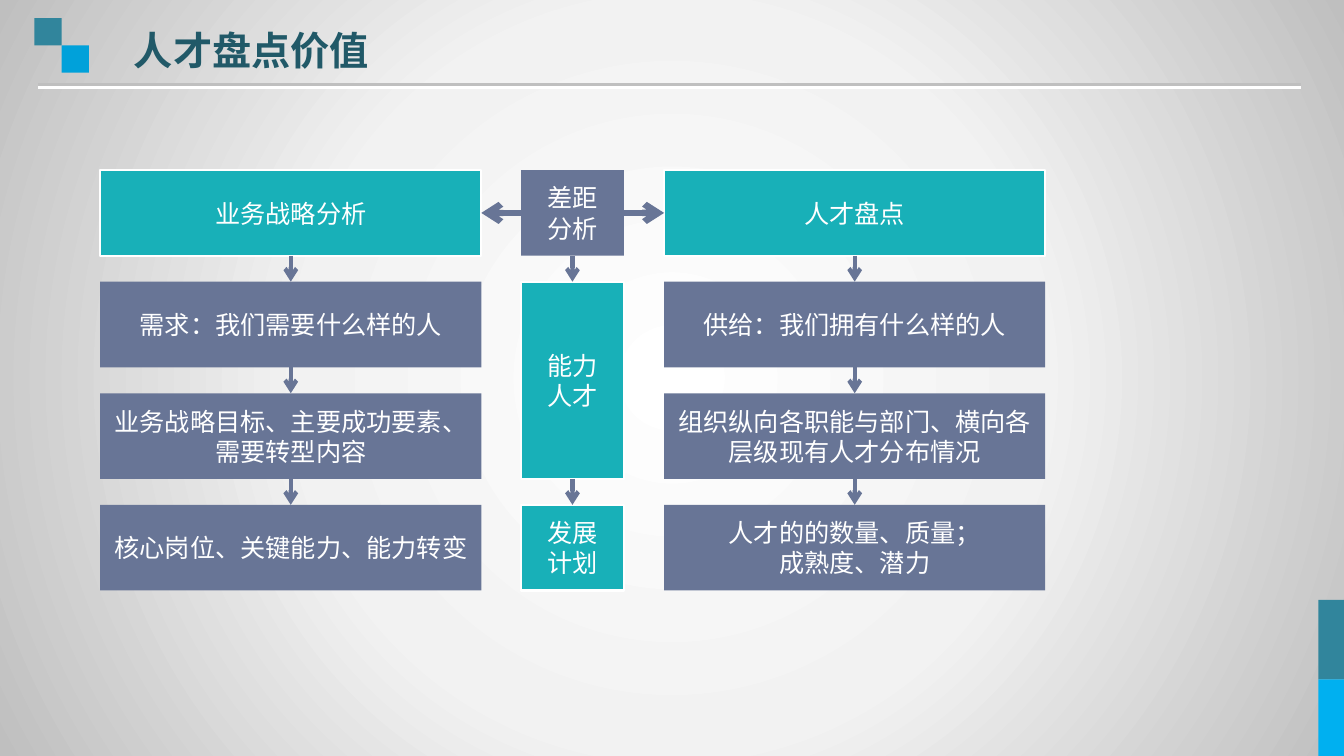
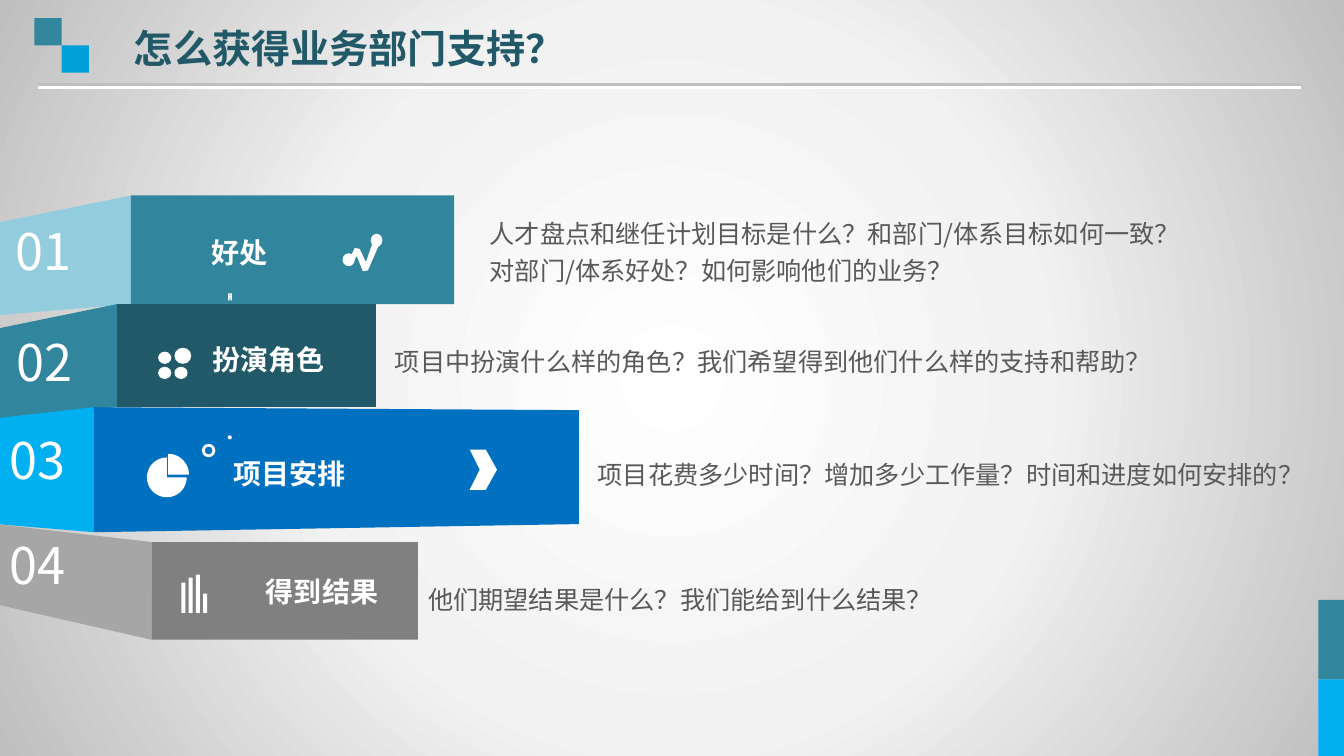
"""Build two slides on the value of a talent review and on winning business support."""

from dataclasses import dataclass
from itertools import pairwise
from math import cos, radians, sin

from lxml import etree
from pptx import Presentation
from pptx.dml.color import RGBColor
from pptx.enum.shapes import MSO_CONNECTOR, MSO_SHAPE
from pptx.enum.text import MSO_ANCHOR, MSO_AUTO_SIZE, PP_ALIGN
from pptx.oxml import parse_xml
from pptx.oxml.ns import nsdecls, qn
from pptx.shapes.autoshape import Shape
from pptx.shapes.connector import Connector
from pptx.shapes.shapetree import GroupShapes, SlideShapes
from pptx.slide import Slide
from pptx.util import Pt

RECTANGLE, ELLIPSE, DONUT = MSO_SHAPE.RECTANGLE, MSO_SHAPE.OVAL, MSO_SHAPE.DONUT
STRAIGHT = MSO_CONNECTOR.STRAIGHT
TOP, MIDDLE = MSO_ANCHOR.TOP, MSO_ANCHOR.MIDDLE
LEFT, CENTER = PP_ALIGN.LEFT, PP_ALIGN.CENTER
FIT_TEXT = MSO_AUTO_SIZE.SHAPE_TO_FIT_TEXT
SIDE_TOP, SIDE_LEFT, SIDE_BOTTOM, SIDE_RIGHT = range(4)

FONT = "Noto Sans CJK SC"
WHITE = RGBColor(0xFF, 0xFF, 0xFF)
SILVER = RGBColor(0xBF, 0xBF, 0xBF)
PALE_GRAY = RGBColor(0xF2, 0xF2, 0xF2)
LIGHT_GRAY = RGBColor(0xA6, 0xA6, 0xA6)
GRAY = RGBColor(0x80, 0x80, 0x80)
TEXT_GRAY = RGBColor(0x59, 0x59, 0x59)
PALE_TEAL = RGBColor(0x93, 0xCD, 0xDD)
TEAL = RGBColor(0x31, 0x85, 0x9C)
DARK_TEAL = RGBColor(0x21, 0x59, 0x68)
TURQUOISE = RGBColor(0x18, 0xB0, 0xB8)
SKY = RGBColor(0x00, 0xB0, 0xF0)
AZURE = RGBColor(0x00, 0xA1, 0xDA)
BLUE = RGBColor(0x00, 0x70, 0xC0)
SLATE = RGBColor(0x68, 0x75, 0x96)

SLIDE_WIDTH, SLIDE_HEIGHT = 960, 540
ROW_TOP, ROW_PITCH, ROW_HEIGHT = 121.5, 79.7, 61.2
WIDE, NARROW = 272.2, 73.4
DEMAND_LEFT, GAP_LEFT, SUPPLY_LEFT = 71.6, 372.2, 474.4

Shapes = SlideShapes | GroupShapes
Point = tuple[float, float]


@dataclass(frozen=True)
class Box:
    text: str
    row: int
    fill: RGBColor = SLATE
    row_span: int = 1


@dataclass(frozen=True)
class Ribbon:
    number: str
    number_at: Point
    label: str
    label_at: Point
    label_width: float
    side_color: RGBColor
    face_color: RGBColor
    edge: Point
    seam_left: float
    seam: Point
    end_left: float
    end: Point
    detail: str
    detail_at: Point
    detail_width: float


DEMAND = (
    Box("业务战略分析", 0, TURQUOISE),
    Box("需求：我们需要什么样的人", 1),
    Box("业务战略目标、主要成功要素、需要转型内容", 2),
    Box("核心岗位、关键能力、能力转变", 3),
)
SUPPLY = (
    Box("人才盘点", 0, TURQUOISE),
    Box("供给：我们拥有什么样的人", 1),
    Box("组织纵向各职能与部门、横向各层级现有人才分布情况", 2),
    Box("人才的的数量、质量；\n成熟度、潜力", 3),
)
GAP = (
    Box("差距\n分析", 0),
    Box("能力\n人才", 1, TURQUOISE, 2),
    Box("发展\n计划", 3, TURQUOISE),
)
RIBBONS = (
    Ribbon("01", (4.3, 153.4), "好处", (144, 164.9), 54.7, PALE_TEAL, TEAL,
           (158.7, 225), 93.6, (139.6, 217.2), 324.4, (139.6, 217.2),
           "人才盘点和继任计划目标是什么？和部门/体系目标如何一致？对部门/体系好处？如何影响他们的业务？",
           (342.7, 148.3), 511.2),
    Ribbon("02", (4.7, 233.3), "扮演角色", (144.7, 241.2), 98.6, TEAL, DARK_TEAL,
           (234.4, 302.1), 83.6, (217.2, 290.6), 268.5, (217.2, 290.6),
           "项目中扮演什么样的角色？我们希望得到他们什么样的支持和帮助？", (275, 239.8), 555.1),
    Ribbon("03", (0, 303.1), "项目安排", (159.8, 322.6), 95, SKY, BLUE,
           (298.5, 374.6), 66.9, (290.9, 380.2), 413.5, (293, 374.4),
           "项目花费多少时间？增加多少工作量？时间和进度如何安排的？", (419.8, 320.4), 502.6),
    Ribbon("04", (0, 378), "得到结果", (182.9, 406.8), 95, LIGHT_GRAY, GRAY,
           (374.7, 432.3), 108.4, (387.2, 457), 298.6, (387.2, 457),
           "他们期望结果是什么？我们能给到什么结果？", (298.8, 409.7), 374.4),
)


def write_text(shape: Shape, text: str, *, size: float = 18, color: RGBColor = WHITE,
               bold: bool = False, align: PP_ALIGN = LEFT, anchor: MSO_ANCHOR = TOP,
               spacing: float = 1.0, wrap: bool = True) -> None:
    frame = shape.text_frame
    frame.word_wrap = wrap
    frame.vertical_anchor = anchor
    for index, line in enumerate(text.split("\n")):
        paragraph = frame.add_paragraph() if index else frame.paragraphs[0]
        paragraph.alignment = align
        paragraph.line_spacing = spacing
        run = paragraph.add_run()
        run.text = line
        font = run.font
        font.size, font.bold, font.name = Pt(size), bold, FONT
        font.color.rgb = color
        etree.SubElement(run.font._element, qn("a:ea"), typeface=FONT)


def add_text(shapes: Shapes, text: str, at: Point, width: float, height: float,
             **text_format) -> None:
    shape = shapes.add_textbox(Pt(at[0]), Pt(at[1]), Pt(width), Pt(height))
    write_text(shape, text, **text_format)
    shape.text_frame.auto_size = FIT_TEXT


def paint(shape: Shape, color: RGBColor) -> Shape:
    shape.shadow.inherit = False
    shape.fill.solid()
    shape.fill.fore_color.rgb = color
    shape.line.fill.background()
    return shape


def add_preset(shapes: Shapes, left: float, top: float, width: float, height: float,
               color: RGBColor = WHITE, preset: MSO_SHAPE = RECTANGLE) -> Shape:
    return paint(shapes.add_shape(preset, Pt(left), Pt(top), Pt(width), Pt(height)), color)


def add_outline(shapes: Shapes, *contours: list[Point], color: RGBColor = WHITE) -> None:
    scaled = [[(Pt(x), Pt(y)) for x, y in contour] for contour in contours]
    builder = shapes.build_freeform(*scaled[0][0])
    for index, (first, *others) in enumerate(scaled):
        if index:
            builder.move_to(*first)
        builder.add_line_segments(others, close=True)
    paint(builder.convert_to_shape(), color)


def add_line(shapes: Shapes, begin: Point, end: Point, color: RGBColor, width: float,
             heads: tuple[str, ...] = ()) -> Connector:
    connector = shapes.add_connector(STRAIGHT, *(Pt(value) for value in (*begin, *end)))
    connector.line.color.rgb = color
    connector.line.width = Pt(width)
    properties = connector.element.spPr
    for head in heads:
        etree.SubElement(properties.find(qn("a:ln")), qn(head), type="arrow")
    etree.SubElement(properties, qn("a:effectLst"))
    return connector


def join(shapes: Shapes, begin: Shape, begin_side: int, end: Shape, end_side: int,
         width: float = 3, heads: tuple[str, ...] = ("a:tailEnd",)) -> None:
    connector = add_line(shapes, (0, 0), (0, 0), SLATE, width, heads)
    connector.begin_connect(begin, begin_side)
    connector.end_connect(end, end_side)


def add_backdrop(shapes: Shapes) -> None:
    backdrop = add_preset(shapes, 0, 0, SLIDE_WIDTH, SLIDE_HEIGHT)
    stops = "".join(
        f'<a:gs pos="{position}"><a:srgbClr val="{color}"/></a:gs>'
        for position, color in ((0, WHITE), (48000, PALE_GRAY), (100000, SILVER))
    )
    gradient = parse_xml(
        f'<a:gradFill {nsdecls("a")} rotWithShape="1"><a:gsLst>{stops}</a:gsLst>'
        '<a:path path="circle"><a:fillToRect l="50000" t="50000" r="50000" b="50000"/>'
        "</a:path></a:gradFill>"
    )
    properties = backdrop.element.spPr
    properties.replace(properties.find(qn("a:solidFill")), gradient)


def add_frame(presentation: Presentation, title: str, title_top: float) -> Slide:
    slide = presentation.slides.add_slide(presentation.slide_layouts[6])
    shapes = slide.shapes
    add_backdrop(shapes)
    add_preset(shapes, 941.8, 428.4, 18.2, 56.9, TEAL)
    add_preset(shapes, 941.8, 485.3, 18.2, 54.7, SKY)
    rule = add_line(shapes, (27.2, 60.3), (929, 60.3), SILVER, 2.25)
    shadow = etree.SubElement(rule.element.spPr.find(qn("a:effectLst")), qn("a:outerShdw"),
                              dist=str(Pt(2)), dir="5400000", algn="t", rotWithShape="0")
    etree.SubElement(shadow, qn("a:srgbClr"), val=str(WHITE))
    add_preset(shapes, 24.6, 13, 19.5, 19.5, TEAL)
    add_preset(shapes, 44.1, 32.5, 19.5, 19.5, AZURE)
    add_text(shapes, title, (88.6, title_top), 352, 41, size=28, color=DARK_TEAL, bold=True)
    return slide


def add_column(shapes: Shapes, boxes: tuple[Box, ...], left: float, width: float) -> list[Shape]:
    column = []
    for box in boxes:
        height = ROW_HEIGHT + (box.row_span - 1) * ROW_PITCH
        shape = add_preset(shapes, left, ROW_TOP + box.row * ROW_PITCH, width, height, box.fill)
        if box.fill == TURQUOISE:
            shape.line.color.rgb = WHITE
            shape.line.width = Pt(1.5)
        write_text(shape, box.text, align=CENTER, anchor=MIDDLE)
        column.append(shape)
    for upper, lower in pairwise(column):
        join(shapes, upper, SIDE_BOTTOM, lower, SIDE_TOP)
    return column


def add_value_slide(presentation: Presentation) -> None:
    shapes = add_frame(presentation, "人才盘点价值", 15.1).shapes
    demand = add_column(shapes, DEMAND, DEMAND_LEFT, WIDE)
    supply = add_column(shapes, SUPPLY, SUPPLY_LEFT, WIDE)
    join(shapes, demand[0], SIDE_RIGHT, supply[0], SIDE_LEFT, 4.5, ("a:headEnd", "a:tailEnd"))
    add_column(shapes, GAP, GAP_LEFT, NARROW)


def sector(x: float, y: float, radius: float, start: int, stop: int) -> list[Point]:
    angles = [radians(angle) for angle in range(start, stop + 1, 5)]
    return [(x, y), *((x + radius * cos(angle), y + radius * sin(angle)) for angle in angles)]


def draw_trend_icon(shapes: Shapes) -> None:
    add_outline(shapes, [(163, 214.6), (163, 209.5), (165.6, 209.5), (165.6, 214.6),
                         (164.6, 214.6), (164.6, 212.4), (164, 212.4), (164, 214.6)],
                [(164, 210.2), (164.6, 210.2), (164.6, 211.7), (164, 211.7)])
    add_outline(shapes, [(248.5, 187.5), (253.4, 177.1), (257, 177.8), (261.4, 187.2),
                         (266, 174), (270.5, 175.5), (262.8, 193.2), (259.2, 193.7),
                         (254.9, 182.9), (252, 187.5)])
    add_preset(shapes, 244.7, 180.9, 8.8, 9.2, preset=ELLIPSE)
    add_preset(shapes, 264.8, 167, 8.4, 9.4, preset=ELLIPSE)


def draw_dots_icon(shapes: Shapes) -> None:
    for left, top, width, height in ((113, 251.2, 9.4, 8.7), (124.6, 248.4, 12, 11.5),
                                     (113, 262, 9.4, 8.7), (124.6, 262, 9.4, 8.7)):
        add_preset(shapes, left, top, width, height, preset=ELLIPSE)


def draw_pie_icon(shapes: Shapes) -> None:
    add_outline(shapes, [(347, 321.1), (335.5, 321.1), (342.7, 335.5),
                         (335.5, 349.9), (347, 349.9), (355, 335.5)])
    ring = add_preset(shapes, 144.2, 317, 9.6, 9.6, preset=DONUT)
    ring.adjustments[0] = 0.21
    add_preset(shapes, 162.7, 311, 2.9, 2.9, preset=ELLIPSE)
    add_outline(shapes, sector(119.2, 341, 14.2, 0, 270))
    add_outline(shapes, sector(120.2, 339, 14.8, 270, 360))


def draw_bars_icon(shapes: Shapes) -> None:
    for index, height in enumerate((21.6, 25.2, 27.4, 13.7)):
        add_preset(shapes, 129.6 + 5.2 * index, 437.8 - height, 2.9, height)


def draw_ribbon(shapes: Shapes, ribbon: Ribbon) -> None:
    top, bottom = ribbon.seam
    left, right = ribbon.seam_left, ribbon.end_left
    add_outline(shapes, [(0, ribbon.edge[0]), (left, top), (left, bottom), (0, ribbon.edge[1])],
                color=ribbon.side_color)
    if ribbon.end == ribbon.seam:
        add_preset(shapes, left, top, right - left, bottom - top, ribbon.face_color)
    else:
        add_outline(shapes, [(left, top), (right, ribbon.end[0]), (right, ribbon.end[1]),
                             (left, bottom)], color=ribbon.face_color)
    add_text(shapes, ribbon.number, ribbon.number_at, 75.6, 60, size=36)
    add_text(shapes, ribbon.label, ribbon.label_at, ribbon.label_width, 31.5,
             size=20, bold=True, wrap=False)


def add_support_slide(presentation: Presentation) -> None:
    shapes = add_frame(presentation, "怎么获得业务部门支持？", 13.7).shapes
    icons = (draw_trend_icon, draw_dots_icon, draw_pie_icon, draw_bars_icon)
    for ribbon, draw_icon in zip(RIBBONS, icons):
        group = shapes.add_group_shape()
        draw_ribbon(group.shapes, ribbon)
        draw_icon(group.shapes)
    for ribbon in RIBBONS:
        add_text(shapes, ribbon.detail, ribbon.detail_at, ribbon.detail_width, 33,
                 color=TEXT_GRAY, spacing=1.2)


def main() -> None:
    presentation = Presentation()
    presentation.slide_width, presentation.slide_height = Pt(SLIDE_WIDTH), Pt(SLIDE_HEIGHT)
    add_value_slide(presentation)
    add_support_slide(presentation)
    presentation.save("out.pptx")


if __name__ == "__main__":
    main()
